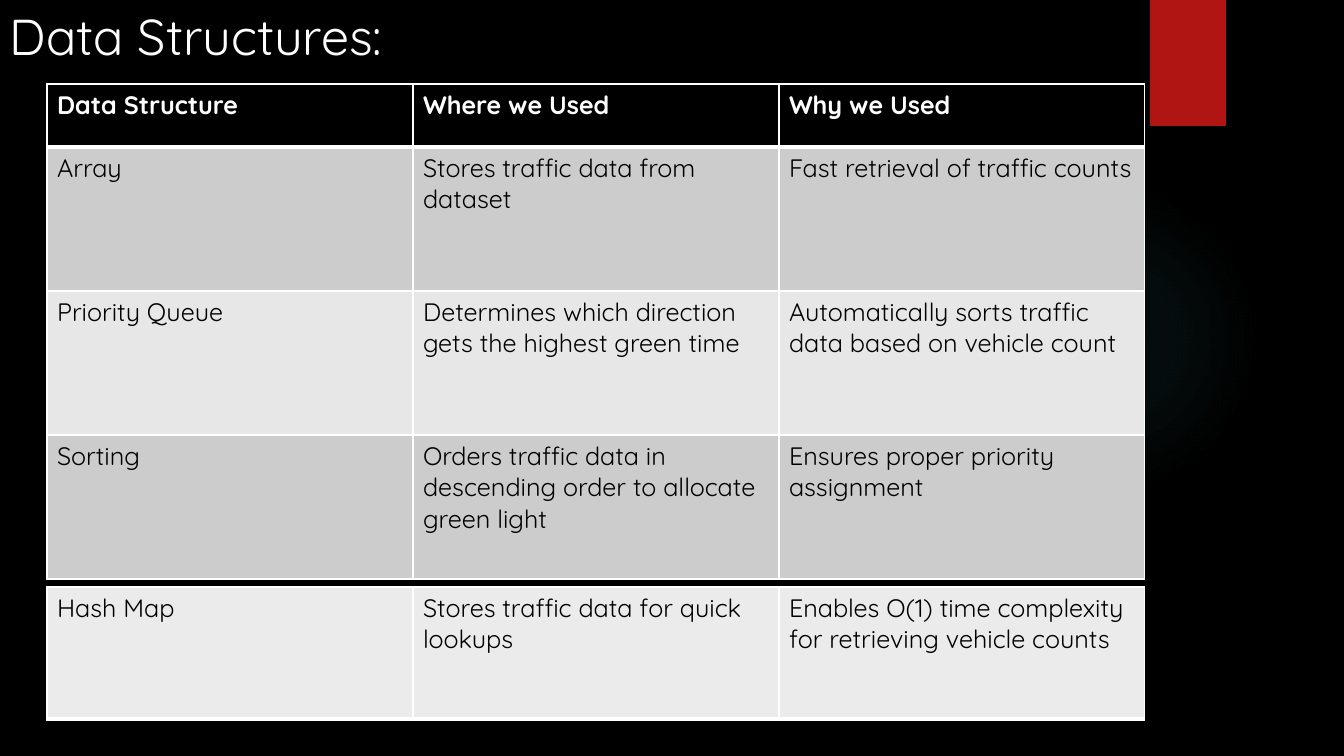
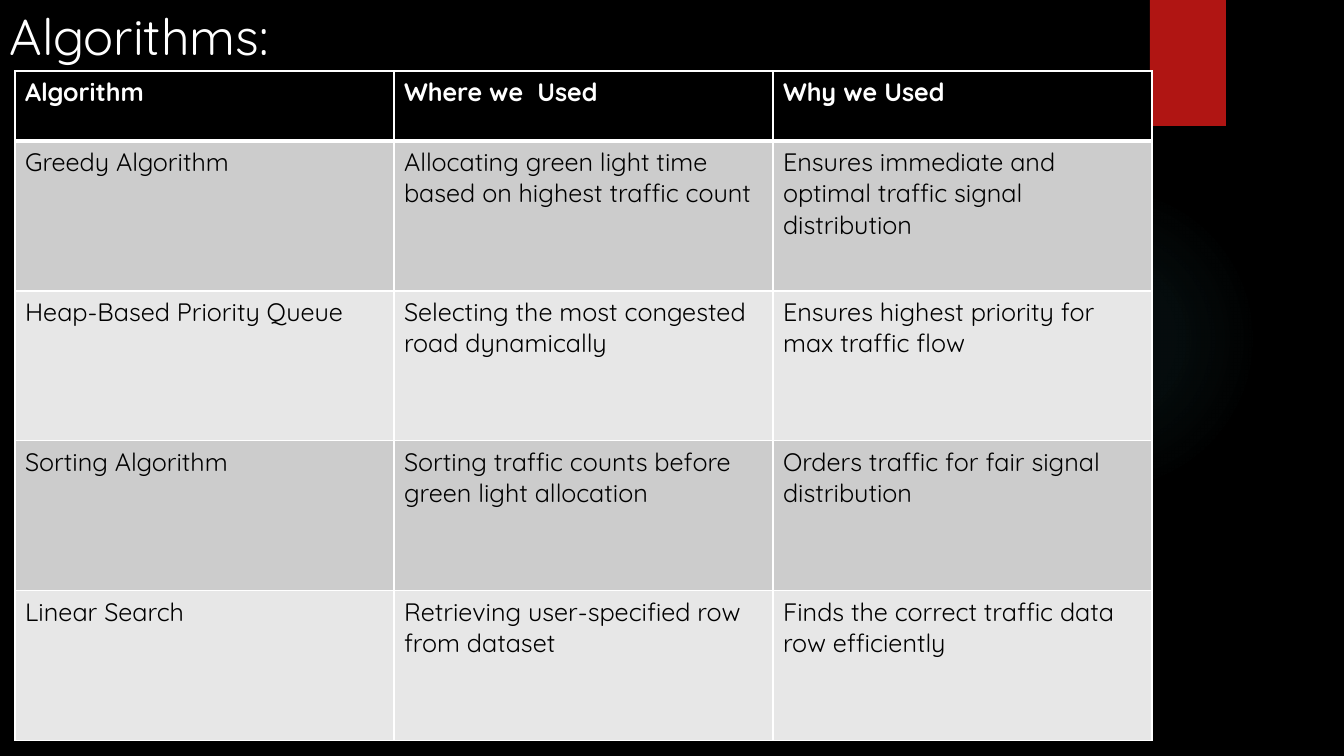
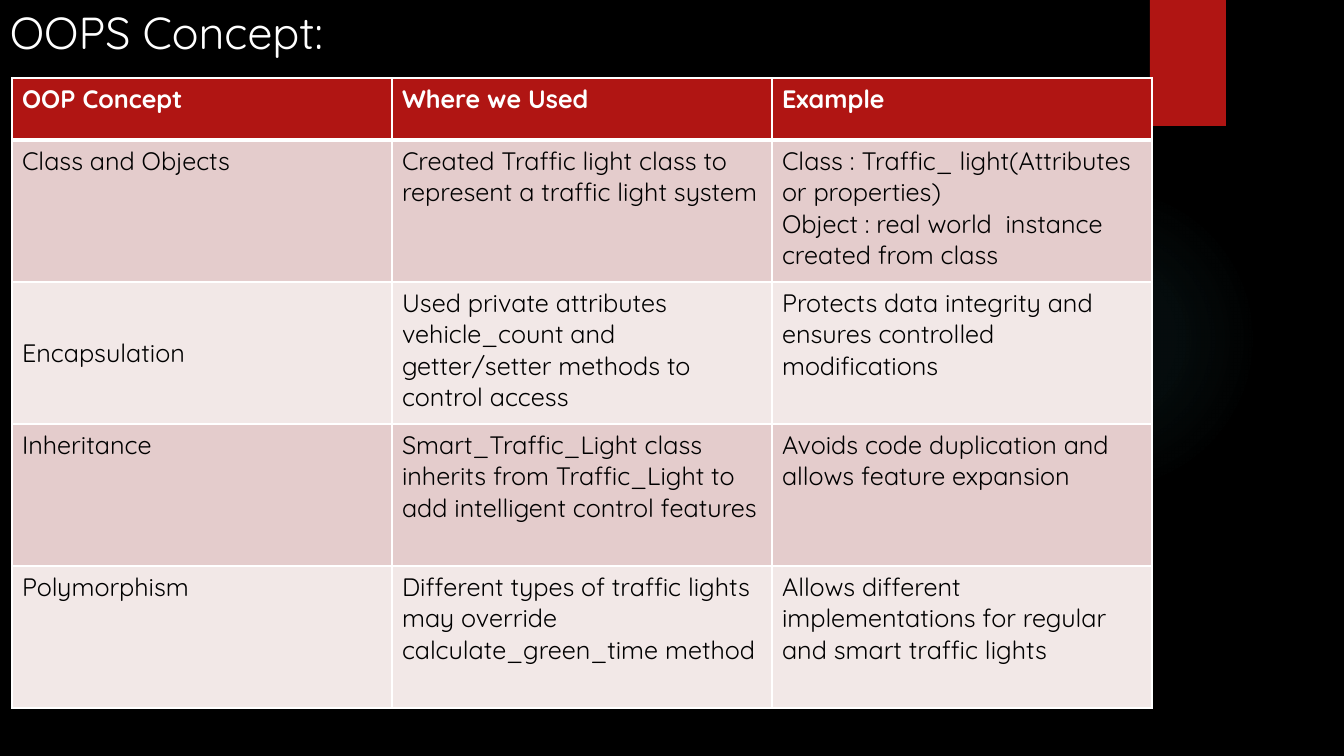
import pptx
import pptx.dml.color
import pptx.enum.shapes
import pptx.enum.text
import pptx.oxml
import pptx.oxml.ns
import pptx.util

PX = 914400 / 100.8
FONT = "Quicksand"
COLOURS = {
    "black": "000000", "white": "FFFFFF", "red": "B01513", "glow": "50B9C1",
    "grey": "CCCCCC", "light grey": "E7E7E7", "pale grey": "EBEBEB",
    "pink": "E4CCCC", "light pink": "F2E8E7",
}
GREYS = ("grey", "light grey")
PINKS = ("pink", "light pink")

# Content: each table has its place, column width, row heights and text
SLIDES = [
    {"title": "Data Structures:", "size": 36, "tables": [
        {"left": 47, "top": 84, "column": 366, "header": 63, "row": 144,
         "header fill": "black", "bands": GREYS,
         "heads": ("Data Structure", "Where we Used", "Why we Used"),
         "body": [
             ("Array", "Stores traffic data from dataset",
              "Fast retrieval of traffic counts"),
             ("Priority Queue",
              "Determines which direction gets the highest green time",
              "Automatically sorts traffic data based on vehicle count"),
             ("Sorting",
              "Orders traffic data in descending order to allocate green light",
              "Ensures proper priority assignment"),
         ]},
        {"left": 47, "top": 587, "column": 366, "row": 132,
         "bands": ("pale grey",), "bottom line": 3,
         "body": [
             ("Hash Map", "Stores traffic data for quick lookups",
              "Enables O(1) time complexity for retrieving vehicle counts"),
         ]},
    ]},
    {"title": "Algorithms:", "size": 36, "tables": [
        {"left": 15, "top": 71, "column": 379, "header": 70, "row": 150,
         "header fill": "black", "bands": GREYS,
         "heads": ("Algorithm", "Where we  Used", "Why we Used"),
         "body": [
             ("Greedy Algorithm",
              "Allocating green light time based on highest traffic count",
              "Ensures immediate and optimal traffic signal distribution"),
             ("Heap-Based Priority Queue",
              "Selecting the most congested road dynamically",
              "Ensures highest priority for max traffic flow"),
             ("Sorting Algorithm",
              "Sorting traffic counts before green light allocation",
              "Orders traffic for fair signal distribution"),
             ("Linear Search", "Retrieving user-specified row from dataset",
              "Finds the correct traffic data row efficiently"),
         ]},
    ]},
    {"title": "OOPS Concept:", "size": 32, "tables": [
        {"left": 12, "top": 78, "column": 380, "header": 62, "row": 142,
         "header fill": "red", "bands": PINKS, "middle": "Encapsulation",
         "heads": ("OOP Concept", "Where we Used", "Example"),
         "body": [
             ("Class and Objects",
              "Created Traffic light class to represent a traffic light system",
              "Class : Traffic_ light(Attributes or properties)\n"
              "Object : real world  instance created from class"),
             ("Encapsulation",
              "Used private attributes vehicle_count and getter/setter methods "
              "to control access",
              "Protects data integrity and ensures controlled modifications"),
             ("Inheritance",
              "Smart_Traffic_Light class inherits from Traffic_Light to add "
              "intelligent control features",
              "Avoids code duplication and allows feature expansion"),
             ("Polymorphism",
              "Different types of traffic lights may override "
              "calculate_green_time method",
              "Allows different implementations for regular and smart "
              "traffic lights"),
         ]},
    ]},
]


def px(*lengths):
    return [pptx.util.Emu(round(length * PX)) for length in lengths]


def rgb(name):
    return pptx.dml.color.RGBColor.from_string(COLOURS[name])


def style_text(frame, size, colour, bold=False):
    for para in frame.paragraphs:
        for span in para.runs:
            span.font.name = FONT
            span.font.size = pptx.util.Pt(size)
            span.font.bold = bold
            span.font.color.rgb = rgb(colour)


def add_plain_shape(page, kind, place, colour):
    shape = page.shapes.add_shape(kind, *px(*place))
    shape.shadow.inherit = False
    shape.fill.solid()
    shape.fill.fore_color.rgb = rgb(colour)
    shape.line.fill.background()
    return shape


def add_backdrop(page):
    page.background.fill.solid()
    page.background.fill.fore_color.rgb = rgb("black")
    kinds = pptx.enum.shapes.MSO_SHAPE
    glow = add_plain_shape(page, kinds.OVAL, (949, 184, 310, 310), "glow")
    # Soft glow fading outwards: (position %, opacity %)
    stops = "".join(
        f'<a:gs pos="{position * 1000}"><a:srgbClr val="{COLOURS["glow"]}">'
        f'<a:alpha val="{opacity * 1000}"/></a:srgbClr></a:gs>'
        for position, opacity in ((0, 7), (36, 6), (69, 0)))
    gradient = pptx.oxml.parse_xml(
        f'<a:gradFill {pptx.oxml.ns.nsdecls("a")}><a:gsLst>{stops}</a:gsLst>'
        '<a:path path="circle"><a:fillToRect l="50000" t="50000" r="50000" '
        'b="50000"/></a:path></a:gradFill>')
    properties = glow.element.spPr
    properties.replace(properties.find(pptx.oxml.ns.qn("a:solidFill")), gradient)
    # Ribbon at the top
    add_plain_shape(page, kinds.RECTANGLE, (1150, 0, 76, 126), "red")


def add_title(page, text, size):
    box = page.shapes.add_textbox(*px(0, 0, 1344, 132))
    box.text_frame.word_wrap = True
    box.text_frame.text = text
    style_text(box.text_frame, size, "white")


def set_borders(cell, top, bottom):
    widths = (("lnL", 1), ("lnR", 1), ("lnT", top), ("lnB", bottom))
    for index, (side, width) in enumerate(widths):
        line = pptx.oxml.parse_xml(
            f'<a:{side} {pptx.oxml.ns.nsdecls("a")} w="{pptx.util.Pt(width)}">'
            f'<a:solidFill><a:srgbClr val="{COLOURS["white"]}"/></a:solidFill>'
            f'</a:{side}>')
        cell._tc.get_or_add_tcPr().insert(index, line)


def add_grid(page, spec_table):
    has_header = "heads" in spec_table
    rows = ([spec_table["heads"]] if has_header else []) + spec_table["body"]
    heights = [spec_table["row"]] * len(rows)
    if has_header:
        heights[0] = spec_table["header"]
    width = spec_table["column"]
    columns = len(rows[0])
    table = page.shapes.add_table(len(rows), columns, *px(
        spec_table["left"], spec_table["top"], width * columns, sum(heights))).table
    table.first_row = has_header
    table.horz_banding = False
    for column in table.columns:
        column.width = px(width)[0]
    for r, texts in enumerate(rows):
        table.rows[r].height = px(heights[r])[0]
        is_header = has_header and r == 0
        bands = spec_table["bands"]
        fill = (spec_table["header fill"] if is_header
                else bands[(r - has_header) % len(bands)])
        top = 3 if has_header and r == 1 else 1
        bottom = 3 if is_header else spec_table.get("bottom line", 1)
        for c, text in enumerate(texts):
            cell = table.cell(r, c)
            cell.text_frame.text = text
            style_text(cell.text_frame, 18, "white" if is_header else "black",
                       is_header)
            if text == spec_table.get("middle"):
                cell.vertical_anchor = pptx.enum.text.MSO_ANCHOR.MIDDLE
            cell.fill.solid()
            cell.fill.fore_color.rgb = rgb(fill)
            set_borders(cell, top, bottom)


def main():
    deck = pptx.Presentation()
    deck.slide_width, deck.slide_height = px(1344, 756)
    for content in SLIDES:
        page = deck.slides.add_slide(deck.slide_layouts[6])
        add_backdrop(page)
        add_title(page, content["title"], content["size"])
        for grid in content["tables"]:
            add_grid(page, grid)
    deck.save("out.pptx")


if __name__ == "__main__":
    main()
